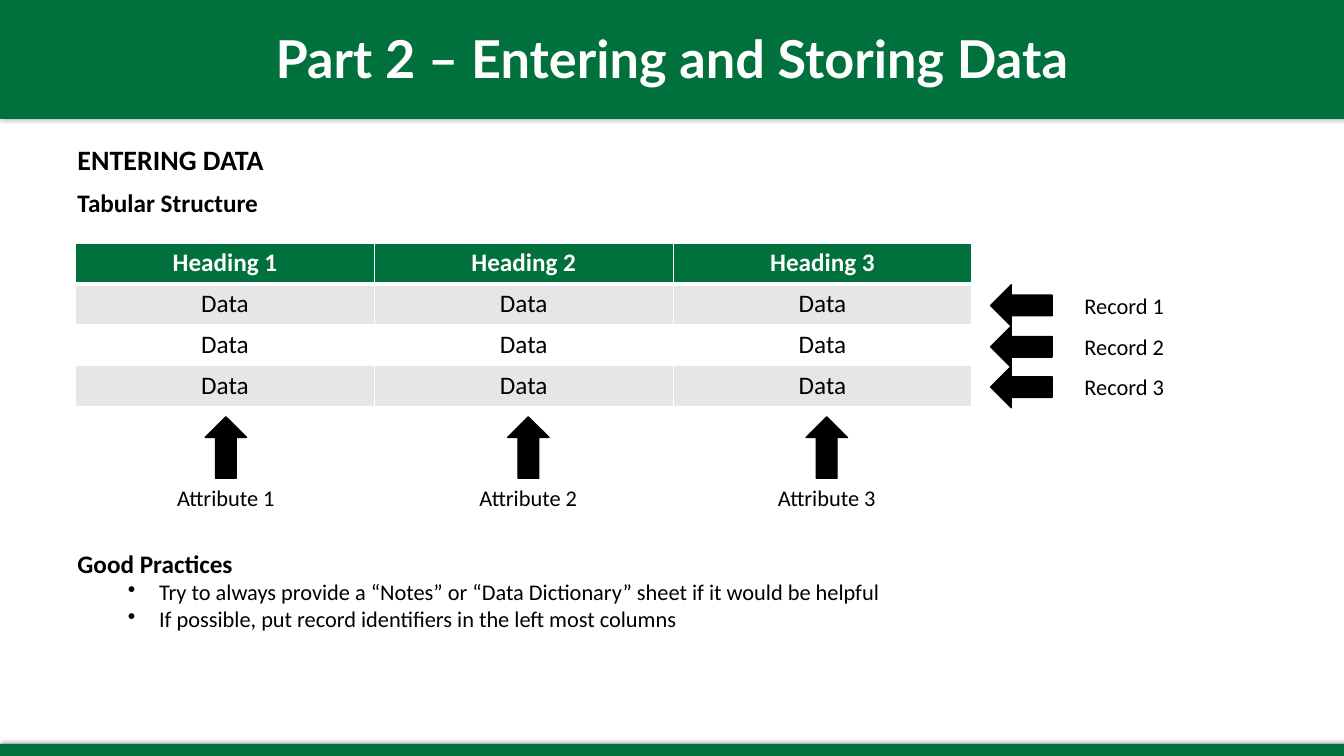
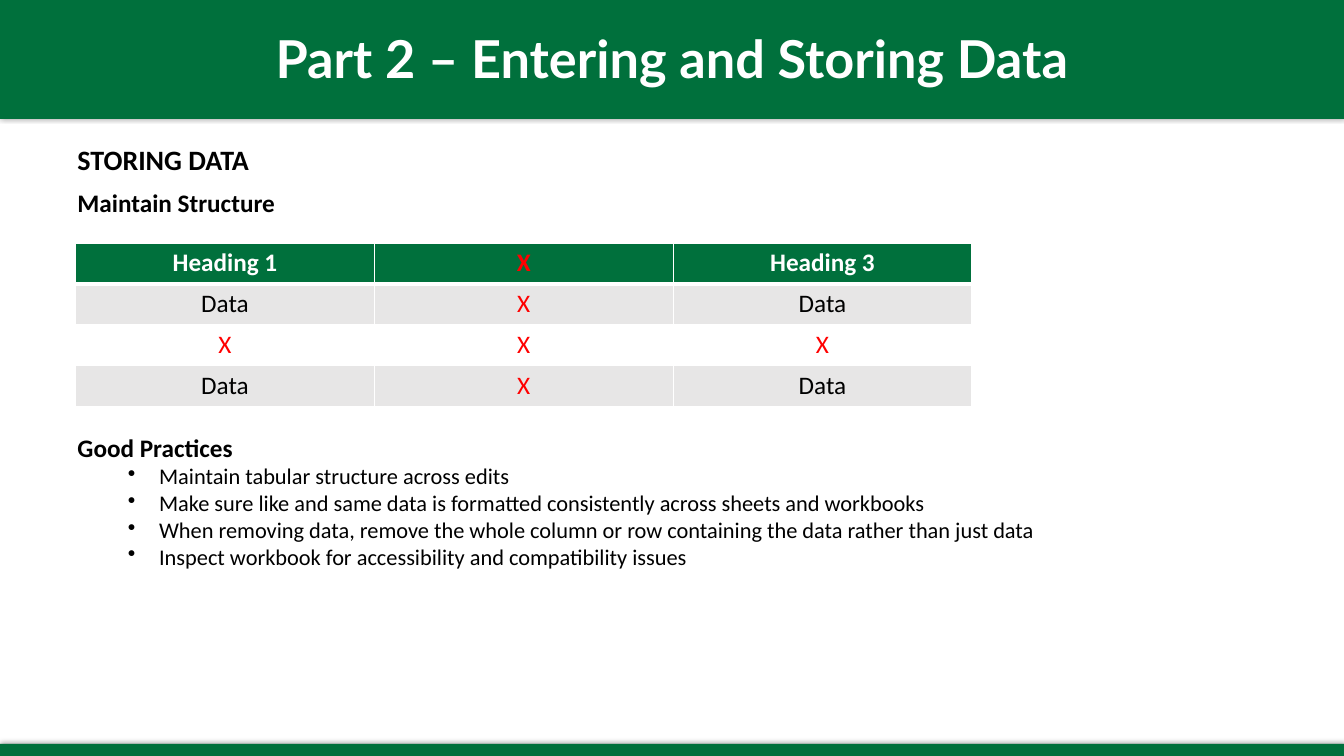
from pptx import Presentation
from pptx.dml.color import RGBColor
from pptx.enum.shapes import MSO_SHAPE as Shape
from pptx.enum.text import MSO_ANCHOR as Anchor, PP_ALIGN as Align
from pptx.oxml import parse_xml
from pptx.oxml.ns import nsdecls
from pptx.util import Inches, Pt

COLORS = {name: RGBColor.from_string(value) for name, value in {
    "green": "00703C", "white": "FFFFFF", "black": "000000",
    "red": "FF0000", "gray": "E7E6E6"}.items()}
NS = nsdecls("a")
SHADOW = (f'<a:effectLst {NS}><a:outerShdw blurRad="50800" dist="12700" dir="16200000" '
          'rotWithShape="0"><a:srgbClr val="000000"><a:alpha val="40000"/></a:srgbClr>'
          '</a:outerShdw></a:effectLst>')
BULLET = f'<a:buChar {NS} char="&#8226;"/>'
TITLE = "Part 2 – Entering and Storing Data"
WIDTH = 13.33
ARROW_WIDTH, ARROW_HEIGHT = 0.41, 0.61
LABEL_WIDTH, LABEL_HEIGHT = 1.49, 0.37

SLIDES = [
    {"heading": "ENTERING DATA", "topic": "Tabular Structure",
     "rows": [["Heading 1", "Heading 2", "Heading 3"]] + [["Data"] * 3] * 3,
     "attributes": [2.24, 5.24, 8.2], "records": [3.03, 3.44, 3.84],
     "practices_at": (0.67, 5.39, 8.97, 0.94),
     "practices": [
         "Try to always provide a “Notes” or “Data Dictionary” sheet if it would be helpful",
         "If possible, put record identifiers in the left most columns"]},
    {"heading": "STORING DATA", "topic": "Maintain Structure",
     "rows": [["Heading 1", "X", "Heading 3"], ["Data", "X", "Data"],
              ["X", "X", "X"], ["Data", "X", "Data"]],
     "attributes": [], "records": [],
     "practices_at": (0.67, 4.24, 9.79, 1.48),
     "practices": [
         "Maintain tabular structure across edits",
         "Make sure like and same data is formatted consistently across sheets and workbooks",
         "When removing data, remove the whole column or row containing the data rather than just data",
         "Inspect workbook for accessibility and compatibility issues"]},
]


def add_text(page, place, lines, font="Calibri", color="black", align=Align.LEFT):
    frame = page.shapes.add_textbox(*map(Inches, place)).text_frame
    frame.word_wrap = True
    for index, (text, size, bold) in enumerate(lines):
        para = frame.add_paragraph() if index else frame.paragraphs[0]
        para.text = text
        para.alignment = align
        para.font.name, para.font.size, para.font.bold = font, Pt(size), bold
        para.font.color.rgb = COLORS[color]
    return frame.paragraphs


def add_block(page, kind, place, color, rotation=0):
    block = page.shapes.add_shape(kind, *map(Inches, place))
    block.shadow.inherit = False
    block.rotation = rotation
    block.fill.solid()
    block.fill.fore_color.rgb = COLORS[color]
    block.line.fill.background()
    return block


deck = Presentation()
deck.slide_width, deck.slide_height = Inches(WIDTH), Inches(7.5)

for content in SLIDES:
    page = deck.slides.add_slide(deck.slide_layouts[6])

    for top, height in [(0, 1.18), (7.38, 0.12)]:
        band = add_block(page, Shape.RECTANGLE, (0, top, WIDTH, height), "green", 180)
        properties = band.element.spPr
        properties.remove(properties[-1])
        properties.append(parse_xml(SHADOW))
    add_text(page, (0, 0.21, WIDTH, 0.73), [(TITLE, 37.3, True)],
             "Lato", "white", Align.CENTER)

    for para in add_text(page, (0.67, 1.4, 12, 5),
                         [(content["heading"], 20, True), (content["topic"], 18, True)]):
        para.line_spacing = 0.9
        para.space_before = Pt(10)

    rows = content["rows"]
    table = page.shapes.add_table(len(rows), 3, *map(Inches, (0.75, 2.41, 8.89, 1.62))).table
    for row, texts in enumerate(rows):
        for column, text in enumerate(texts):
            cell = table.cell(row, column)
            cell.text = text
            cell.vertical_anchor = Anchor.MIDDLE
            for side in "LRTB":
                thick = (row, side) in [(0, "B"), (1, "T")]
                cell._tc.get_or_add_tcPr().append(parse_xml(
                    f'<a:ln{side} {NS} w="{Pt(3 if thick else 1)}"><a:solidFill>'
                    f'<a:srgbClr val="{COLORS["white"]}"/></a:solidFill></a:ln{side}>'))
            cell.fill.solid()
            cell.fill.fore_color.rgb = COLORS[
                "green" if row == 0 else "gray" if row % 2 else "white"]
            para = cell.text_frame.paragraphs[0]
            para.alignment = Align.CENTER
            para.font.name, para.font.size, para.font.bold = "Calibri", Pt(18), row == 0
            para.font.color.rgb = COLORS[
                "red" if text == "X" else "white" if row == 0 else "black"]

    pointers = [(f"Attribute {number}", center, 4.44, center, 4.94, 0)
                for number, center in enumerate(content["attributes"], 1)]
    pointers += [(f"Record {number}", 10.13, middle, 11.15, middle, 270)
                 for number, middle in enumerate(content["records"], 1)]
    for label, arrow_x, arrow_y, label_x, label_y, rotation in pointers:
        arrow = add_block(page, Shape.UP_ARROW, (
            arrow_x - ARROW_WIDTH / 2, arrow_y - ARROW_HEIGHT / 2,
            ARROW_WIDTH, ARROW_HEIGHT), "black", rotation)
        arrow.line.color.rgb = COLORS["black"]
        arrow.line.width = Pt(1)
        add_text(page, (label_x - LABEL_WIDTH / 2, label_y - LABEL_HEIGHT / 2,
                        LABEL_WIDTH, LABEL_HEIGHT), [(label, 16, False)], align=Align.CENTER)

    practices = [(text, 16, False) for text in content["practices"]]
    for para in add_text(page, content["practices_at"],
                         [("Good Practices", 18, True)] + practices)[1:]:
        properties = para._p.get_or_add_pPr()
        properties.set("marL", str(Inches(0.81)))
        properties.set("indent", str(Inches(-0.31)))
        properties.insert(0, parse_xml(BULLET))

deck.save("out.pptx")
